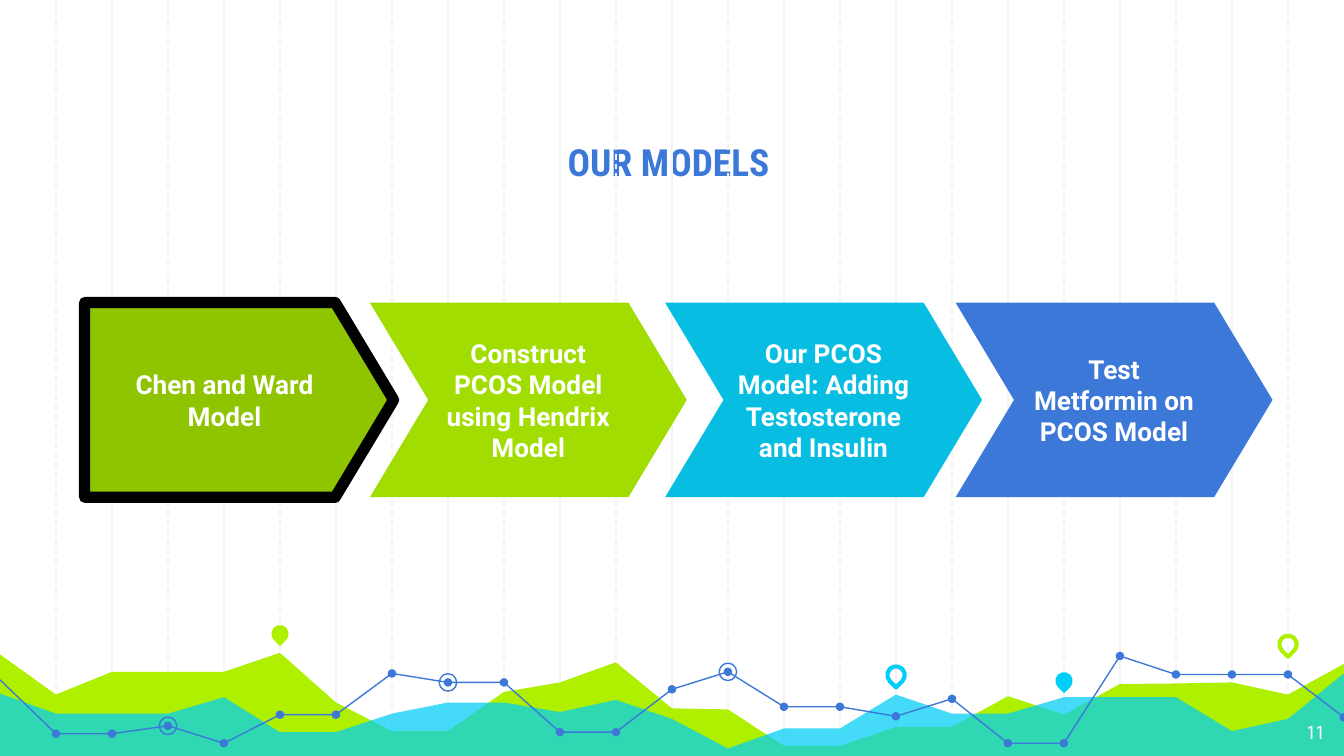
from lxml import etree
from pptx import Presentation
from pptx.dml.color import RGBColor
from pptx.enum.dml import MSO_LINE
from pptx.enum.shapes import MSO_CONNECTOR, MSO_SHAPE
from pptx.enum.text import MSO_ANCHOR, PP_ALIGN
from pptx.oxml.ns import qn
from pptx.util import Cm, Pt

STRAIGHT = MSO_CONNECTOR.STRAIGHT
DASH = MSO_LINE.DASH
OVAL, TEARDROP = MSO_SHAPE.OVAL, MSO_SHAPE.TEAR
PENTAGON, CHEVRON = MSO_SHAPE.PENTAGON, MSO_SHAPE.CHEVRON
TOP, MIDDLE, BOTTOM = MSO_ANCHOR.TOP, MSO_ANCHOR.MIDDLE, MSO_ANCHOR.BOTTOM
CENTER, RIGHT = PP_ALIGN.CENTER, PP_ALIGN.RIGHT

BODY_FONT, TITLE_FONT = "Roboto", "Roboto Condensed"
WHITE, BLACK, GRID_GREY = "FFFFFF", "000000", "F3F3F3"
BLUE, LIME, CYAN = "3C78D8", "AFF000", "00CEF6"

# All lengths are in centimetres
SLIDE_WIDTH, SLIDE_HEIGHT = 25.4, 14.29
COLUMNS = 24
STEP = SLIDE_WIDTH / COLUMNS
BASELINE = 14.35
DOT, RING = 0.16, 0.33

# Heights of the footer curves, one value per grid column
LIME_AREA = [12.37, 13.13, 12.7, 12.7, 12.7, 12.34, 13.28, 13.82, 13.82,
             13.08, 12.9, 12.52, 13.39, 13.41, 14.1, 14.1, 13.74, 13.74,
             13.16, 13.51, 12.93, 12.92, 12.9, 13.13, 12.55]
CYAN_AREA = [13.11, 13.49, 13.49, 13.49, 13.18, 13.84, 13.84, 13.49, 13.28,
             13.28, 13.46, 13.23, 13.59, 14.15, 13.77, 13.77, 13.13, 13.49,
             13.49, 13.18, 13.18, 13.18, 13.82, 13.59, 12.73]
BLUE_LINE = [12.85, 13.87, 13.87, 13.72, 14.05, 13.51, 13.51, 12.73, 12.9,
             12.9, 13.84, 13.84, 13.03, 12.7, 13.36, 13.36, 13.54, 13.21,
             14.05, 14.05, 12.4, 12.75, 12.75, 12.75, 13.56]
RING_COLUMNS = [3, 8, 13]

# Column, centre height, colour, filled
PINS = [(5, 11.98, LIME, True), (16, 12.76, CYAN, False),
        (19, 12.87, CYAN, True), (23, 12.18, LIME, False)]

# Shape, left, width, fill, outline, text
STEPS = [
    (PENTAGON, 1.6, 5.84, "8EC400", BLACK, "Chen and Ward Model"),
    (CHEVRON, 6.99, 5.99, "A1DD00", None,
     "Construct PCOS Model using Hendrix Model"),
    (CHEVRON, 12.57, 5.99, "07BEE2", None,
     "Our PCOS Model: Adding Testosterone and Insulin"),
    (CHEVRON, 18.06, 5.99, BLUE, None, "Test Metformin on PCOS Model"),
]


def color(value):
    return RGBColor.from_string(value)


def style(shape, fill=None, line=None, weight=0.75):
    shape.shadow.inherit = False
    if fill:
        shape.fill.solid()
        shape.fill.fore_color.rgb = color(fill)
    else:
        shape.fill.background()
    if line:
        shape.line.color.rgb = color(line)
        shape.line.width = Pt(weight)
    else:
        shape.line.fill.background()


def set_alpha(shape, percent):
    fill_color = shape._element.spPr.find(
        qn("a:solidFill") + "/" + qn("a:srgbClr"))
    etree.SubElement(fill_color, qn("a:alpha"), val=str(percent * 1000))


def write_text(shape, text, size, font, text_color, bold, align, anchor):
    frame = shape.text_frame
    frame.word_wrap = True
    frame.vertical_anchor = anchor
    frame.margin_left = frame.margin_right = Cm(0.25)
    frame.margin_top = frame.margin_bottom = Cm(0.25)
    paragraph = frame.paragraphs[0]
    paragraph.alignment = align
    run = paragraph.add_run()
    run.text = text
    run.font.size = Pt(size)
    run.font.name = font
    run.font.bold = bold
    run.font.color.rgb = color(text_color)


def add_grid_line(slide, column):
    x = Cm(column * STEP)
    connector = slide.shapes.add_connector(STRAIGHT, x, 0, x, Cm(BASELINE))
    connector.line.color.rgb = color(GRID_GREY)
    connector.line.width = Pt(0.75)
    if column % 2:
        connector.line.dash_style = DASH
    etree.SubElement(connector._element.spPr, qn("a:effectLst"))


def add_curve(slide, heights, closed):
    points = [(Cm(i * STEP), Cm(y)) for i, y in enumerate(heights)]
    if closed:
        points += [(Cm(SLIDE_WIDTH), Cm(BASELINE)), (0, Cm(BASELINE))]
    builder = slide.shapes.build_freeform(*points[0], scale=1.0)
    builder.add_line_segments(points[1:], close=closed)
    return builder.convert_to_shape()


def add_marker(slide, kind, column, y, size):
    """Place a small shape centred on a grid column."""
    return slide.shapes.add_shape(
        kind, Cm(column * STEP - size / 2), Cm(y - size / 2),
        Cm(size), Cm(size))


def add_footer_graph(slide):
    # Areas
    style(add_curve(slide, LIME_AREA, True), LIME)
    cyan_area = add_curve(slide, CYAN_AREA, True)
    style(cyan_area, CYAN)
    set_alpha(cyan_area, 73)

    # Pins
    for column, y, pin_color, filled in PINS:
        pin = add_marker(slide, TEARDROP, column, y, RING)
        pin.rotation = 135
        if filled:
            style(pin, fill=pin_color)
        else:
            style(pin, line=pin_color, weight=2.25)

    # Line with dots and rings
    style(add_curve(slide, BLUE_LINE, False), line=BLUE)
    for column, y in enumerate(BLUE_LINE[1:], start=1):
        style(add_marker(slide, OVAL, column, y, DOT), BLUE)
    for column in RING_COLUMNS:
        ring = add_marker(slide, OVAL, column, BLUE_LINE[column], RING)
        style(ring, line=BLUE)


def add_title(slide, text):
    title = slide.shapes.title
    title.left, title.top = Cm(2.92), Cm(1.75)
    title.width, title.height = Cm(19.43), Cm(1.98)
    write_text(title, text, 20, TITLE_FONT, BLUE, True, CENTER, BOTTOM)


def add_step(slide, kind, left, width, fill, outline, text):
    step = slide.shapes.add_shape(
        kind, Cm(left), Cm(5.72), Cm(width), Cm(3.68))
    step.adjustments[0] = 0.3
    style(step, fill, outline, 6)
    write_text(step, text, 14, BODY_FONT, WHITE, True, CENTER, MIDDLE)


def add_page_number(slide, number):
    box = slide.shapes.add_textbox(Cm(23.77), Cm(13.41), Cm(1.52), Cm(0.89))
    write_text(box, number, 10, TITLE_FONT, WHITE, False, RIGHT, TOP)


def main():
    presentation = Presentation()
    presentation.slide_width = Cm(SLIDE_WIDTH)
    presentation.slide_height = Cm(SLIDE_HEIGHT)
    slide = presentation.slides.add_slide(presentation.slide_layouts[5])
    slide.background.fill.solid()
    slide.background.fill.fore_color.rgb = color(WHITE)

    for column in range(1, COLUMNS):
        add_grid_line(slide, column)
    add_footer_graph(slide)
    add_title(slide, "OUR MODELS")
    for step in STEPS:
        add_step(slide, *step)
    add_page_number(slide, "11")
    presentation.save("out.pptx")


if __name__ == "__main__":
    main()
